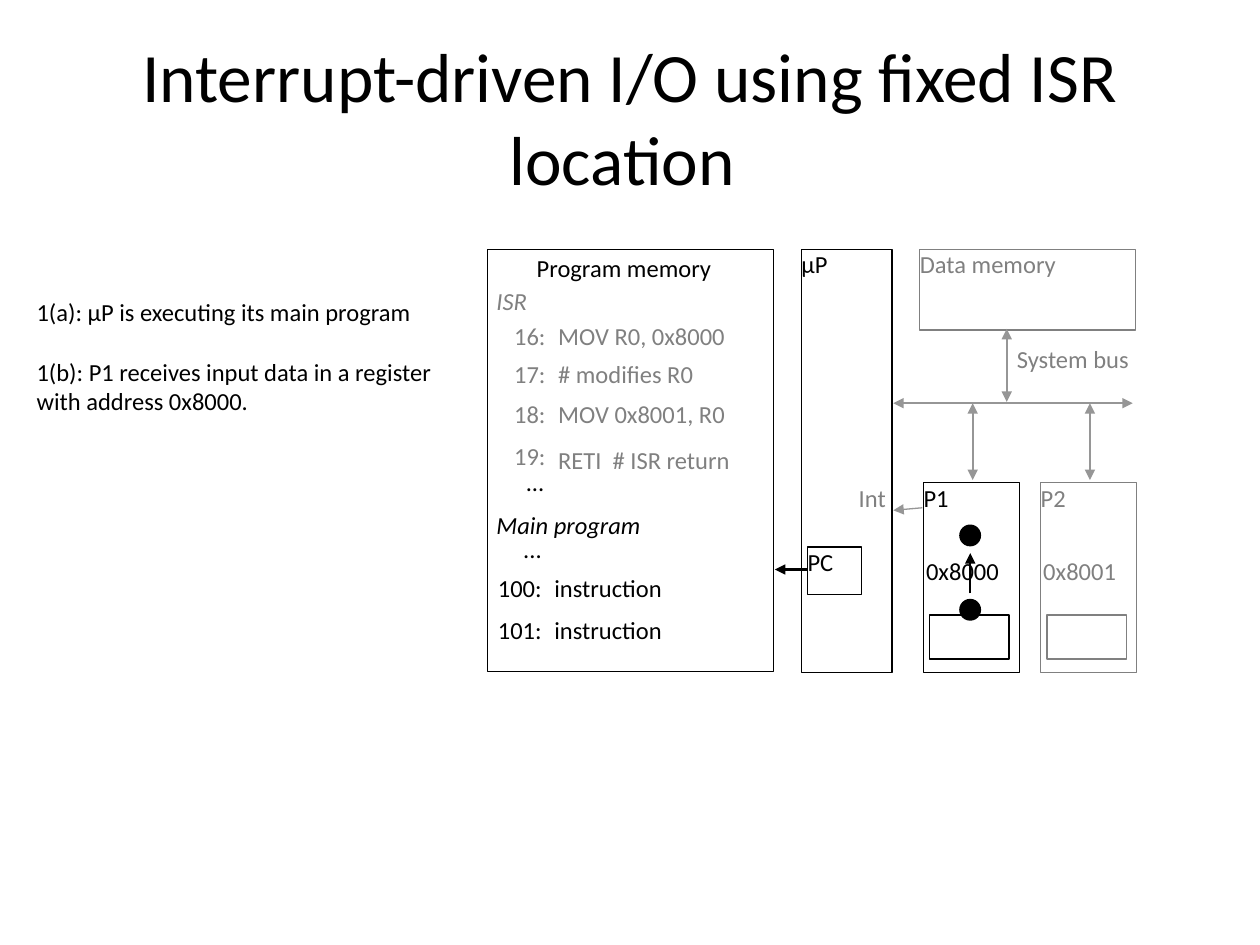
from pptx import Presentation
from pptx import util as u
from pptx.dml.color import RGBColor
from pptx.enum import shapes, text
from pptx.oxml.ns import qn
from lxml import etree

Inches = u.Inches
INK = {"black": "000000", "gray": "808080", "bus": "969696", "white": "FFFFFF"}
LEFT, MID, RIGHT = text.PP_ALIGN.LEFT, text.PP_ALIGN.CENTER, text.PP_ALIGN.RIGHT
RECT, OVAL = shapes.MSO_SHAPE.RECTANGLE, shapes.MSO_SHAPE.OVAL

deck = Presentation()
deck.slide_width, deck.slide_height = Inches(10), Inches(7.5)
slide = deck.slides.add_slide(deck.slide_layouts[6])


def write(words, at, ink="black", side=LEFT, size=14, slant=False, kind=None, fill="white", width=0.75):
    """Text box, or an outlined shape holding text when kind is given."""
    box = [Inches(n) for n in at]
    if kind is None:
        item = slide.shapes.add_textbox(*box)
    else:
        item = slide.shapes.add_shape(kind, *box)
        item.shadow.inherit = False
        item.fill.solid()
        item.fill.fore_color.rgb = RGBColor.from_string(INK[fill])
        item.line.color.rgb = RGBColor.from_string(INK[ink])
        item.line.width = u.Pt(width)
    frame = item.text_frame
    frame.word_wrap = True
    frame.vertical_anchor = text.MSO_ANCHOR.TOP
    frame.margin_left = frame.margin_right = frame.margin_top = frame.margin_bottom = 0
    frame.text = words
    for para in frame.paragraphs:
        para.alignment = side
        for run in para.runs:
            run.font.name, run.font.size = "Calibri", u.Pt(size)
            run.font.italic = slant
            run.font.color.rgb = RGBColor.from_string(INK[ink])
    return frame


def arrow(start, end, ink, width, both=False):
    """Straight line with a head at its end, or at both ends."""
    line = slide.shapes.add_connector(
        shapes.MSO_CONNECTOR.STRAIGHT, *[Inches(n) for n in start + end])
    line.line.color.rgb = RGBColor.from_string(INK[ink])
    line.line.width = u.Pt(width)
    edge = line.line._get_or_add_ln()
    for tag in ["a:headEnd", "a:tailEnd"] if both else ["a:tailEnd"]:
        etree.SubElement(edge, qn(tag)).set("type", "triangle")
    etree.SubElement(line._element.spPr, qn("a:effectLst"))


# Title
title = write("Interrupt-driven I/O using fixed ISR location ", (0.6, 0.3, 8.8, 1.25), side=MID, size=39.6)
title.vertical_anchor = text.MSO_ANCHOR.MIDDLE

# Steps on the left
steps = write("1(a): μP is executing its main program\n"
              "1(b): P1 receives input data in a register with address 0x8000.",
              (0.29, 2.36, 3.14, 1.35))
steps.paragraphs[1].space_before = u.Pt(17)

# Processor, peripherals with their registers, data memory
write("μP", (6.36, 1.98, 0.72, 3.36), kind=RECT)
for name, addr, left, ink in [("P1", "0x8000", 7.33, "black"), ("P2", "0x8001", 8.26, "gray")]:
    write(name, (left, 3.83, 0.76, 1.51), ink, kind=RECT)
    write("", (left + 0.05, 4.88, 0.63, 0.35), ink, kind=RECT)
    write(addr, (left + 0.02, 4.41, 0.66, 0.4), ink)
write("Data memory", (7.3, 1.98, 1.71, 0.64), "gray", kind=RECT)

# System bus and interrupt line
for start, end in [((7.09, 3.2), (8.99, 3.2)), ((7.72, 3.2), (7.72, 3.81)),
                   ((8.65, 3.2), (8.65, 3.81)), ((7.99, 2.61), (7.99, 3.19))]:
    arrow(start, end, "bus", 1.25, both=True)
write("System bus", (8.07, 2.73, 1.01, 0.53), "gray")
arrow((7.32, 4.03), (7.09, 4.05), "bus", 0.75)
write("Int", (6.61, 3.83, 0.42, 0.44), "gray", RIGHT)

# Program memory: headings, then numbered code lines
write("", (3.87, 1.98, 2.27, 3.35), kind=RECT)
write("Program memory", (4.26, 2.01, 1.56, 0.44))
write("ISR", (3.94, 2.27, 0.49, 0.46), "gray", slant=True)
write("Main program", (3.94, 4.05, 1.33, 0.45), slant=True)
for num, code, right, top, drop, ink in [
        ("16:", "MOV R0, 0x8000", 4.33, 2.55, 0, "gray"),
        ("17:", "# modifies R0", 4.33, 2.85, 0, "gray"),
        ("18:", "MOV 0x8001, R0", 4.33, 3.17, 0, "gray"),
        ("19:", "RETI  # ISR return", 4.33, 3.5, 0.03, "gray"),
        ("...", "", 4.32, 3.71, 0, "black"),
        ("...", "", 4.3, 4.24, 0, "black"),
        ("100:", "instruction", 4.3, 4.55, 0, "black"),
        ("101:", "instruction", 4.3, 4.88, 0, "black")]:
    write(num, (right - 0.45, top, 0.45, 0.34), ink, RIGHT)
    if code:
        write(code, (right + 0.1, top + drop, 1.7, 0.34), ink)

# Program counter pointing into program memory
arrow((6.41, 4.52), (6.15, 4.52), "black", 1.25)
write("PC", (6.41, 4.34, 0.43, 0.38), kind=RECT)

# Data item moving up out of the P1 register
for top in (4.76, 4.17):
    write("", (7.62, top, 0.16, 0.16), kind=OVAL, fill="black", width=1)
arrow((7.7, 4.71), (7.7, 4.39), "black", 1)

deck.save("out.pptx")
